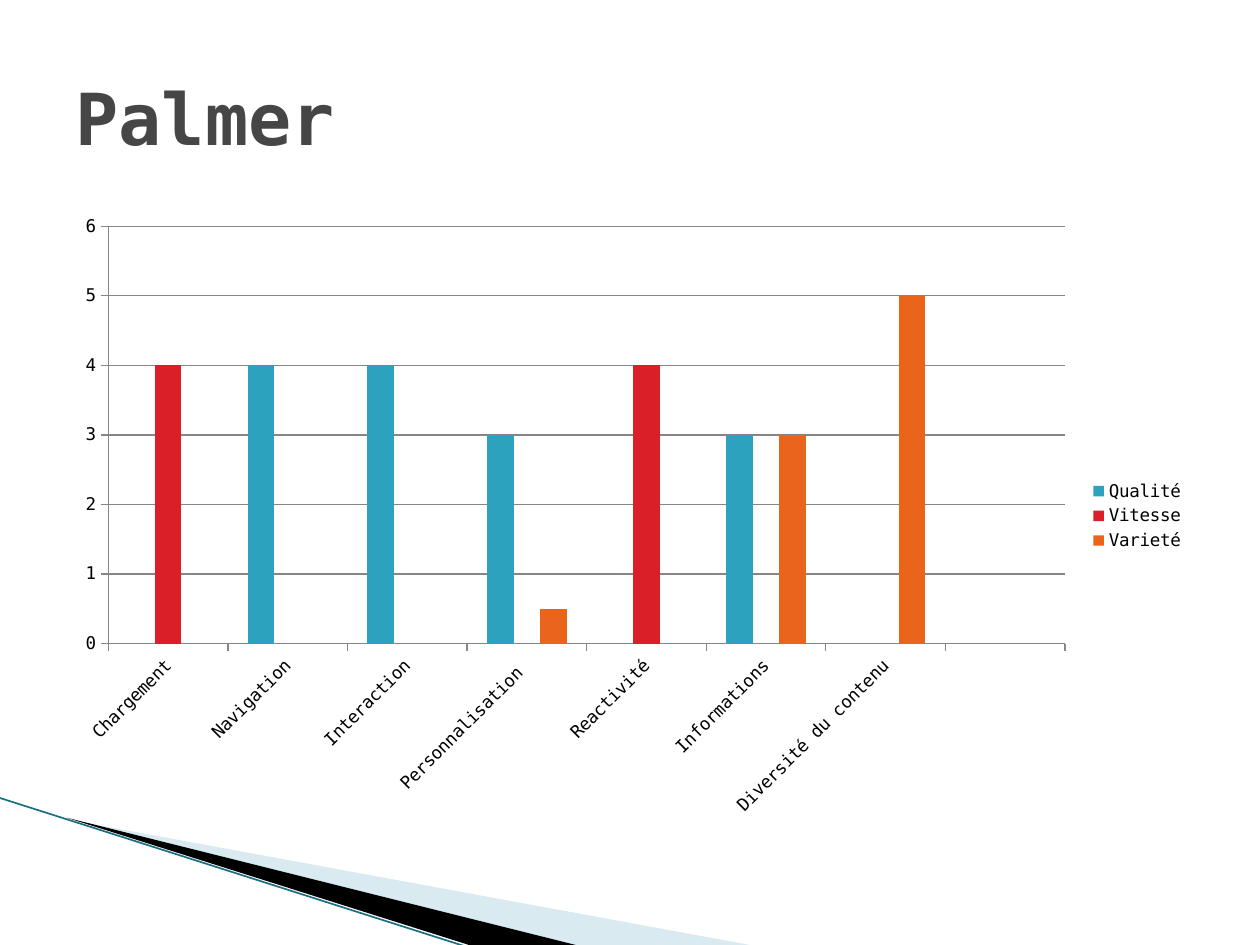
from lxml import etree
from pptx import Presentation
from pptx.chart.data import CategoryChartData
from pptx.dml.color import RGBColor
from pptx.enum.chart import XL_CHART_TYPE as ChartType, XL_LEGEND_POSITION as LegendPosition
from pptx.enum.chart import XL_TICK_MARK as TickMark
from pptx.enum.shapes import MSO_CONNECTOR as Connector
from pptx.enum.text import MSO_ANCHOR as Anchor, PP_ALIGN as Align
from pptx.oxml.ns import qn
from pptx.util import Pt

FONT = "DejaVu Sans Mono"
TITLE = "Palmer"
CATEGORIES = ["Chargement", "Navigation", "Interaction", "Personnalisation ",
              "Reactivité", "Informations", "Diversité du contenu", ""]
SERIES = [
    ("Qualité", "2DA2BF", [None, 4, 4, 3, None, 3, None, None]),
    ("Vitesse", "DA1F28", [4, None, None, None, 4, None, None, None]),
    ("Varieté", "EB641B", [None, None, None, 0.5, None, 3, 5, None]),
]
WEDGES = [
    ("A0CBDC", 40, [(39.6, 468.5), (428.4, 540), (328.3, 540)]),
    ("000000", 100, [(38.2, 467.3), (329, 540), (268, 540)]),
]
EDGE = [(-0.7, 455.8), (267.8, 541.4)]


def paint(target, color):
    target.solid()
    target.fore_color.rgb = RGBColor.from_string(color)


def style_font(font, size, color, bold=False):
    font.name, font.size, font.bold = FONT, Pt(size), bold
    font.color.rgb = RGBColor.from_string(color)


def style_line(line, color, width=0.75):
    line.width = Pt(width)
    paint(line.fill, color)


def add_wedge(page, color, opacity, points):
    corners = [(Pt(x), Pt(y)) for x, y in points]
    builder = page.shapes.build_freeform(*corners[0])
    builder.add_line_segments(corners[1:], close=True)
    wedge = builder.convert_to_shape()
    wedge.shadow.inherit = False
    wedge.line.fill.background()
    paint(wedge.fill, color)
    if opacity < 100:
        tint = wedge.fill._xPr.find(".//" + qn("a:srgbClr"))
        etree.SubElement(tint, qn("a:alpha"), val=str(opacity * 1000))


def add_edge(page):
    (left, top), (right, bottom) = EDGE
    edge = page.shapes.add_connector(Connector.STRAIGHT, Pt(left), Pt(top), Pt(right), Pt(bottom))
    style_line(edge.line, "1A6F82", 0.95)
    etree.SubElement(edge._element.spPr, qn("a:effectLst"))


def add_ratings_chart(page):
    data = CategoryChartData()
    data.categories = CATEGORIES
    for name, _, values in SERIES:
        data.add_series(name, values)
    chart = page.shapes.add_chart(ChartType.COLUMN_CLUSTERED, Pt(36), Pt(116.6),
                                  Pt(648), Pt(356.4), data).chart
    style_font(chart.font, 10, "000000")
    chart.has_title = False
    chart.has_legend = True
    chart.legend.position = LegendPosition.RIGHT
    chart.legend.include_in_layout = False

    plot = chart.plots[0]
    plot.gap_width, plot.overlap, plot.vary_by_categories = 150, 0, False
    for series, (_, color, _) in zip(plot.series, SERIES):
        paint(series.format.fill, color)

    for axis in (chart.category_axis, chart.value_axis):
        axis.major_tick_mark, axis.minor_tick_mark = TickMark.OUTSIDE, TickMark.NONE
        style_line(axis.format.line, "868686")
        style_font(axis.tick_labels.font, 10, "000000")
    chart.category_axis._element.find(".//" + qn("a:bodyPr")).set("rot", "-2700000")
    scale = chart.value_axis
    scale.minimum_scale, scale.maximum_scale, scale.major_unit = 0, 6, 1
    scale.has_major_gridlines = True
    style_line(scale.major_gridlines.format.line, "868686")


def add_title(page):
    title = page.shapes.title
    title.left, title.top, title.width, title.height = Pt(36), Pt(21.6), Pt(648), Pt(90)
    title.text_frame.text = TITLE
    title.text_frame.vertical_anchor = Anchor.MIDDLE
    para = title.text_frame.paragraphs[0]
    para.alignment = Align.LEFT
    style_font(para.runs[0].font, 41, "464646", bold=True)


def main():
    deck = Presentation()
    deck.slide_width, deck.slide_height = Pt(720), Pt(540)
    page = deck.slides.add_slide(deck.slide_layouts[5])
    paint(page.background.fill, "FFFFFF")
    for wedge in WEDGES:
        add_wedge(page, *wedge)
    add_edge(page)
    add_ratings_chart(page)
    add_title(page)
    deck.save("out.pptx")


if __name__ == "__main__":
    main()
